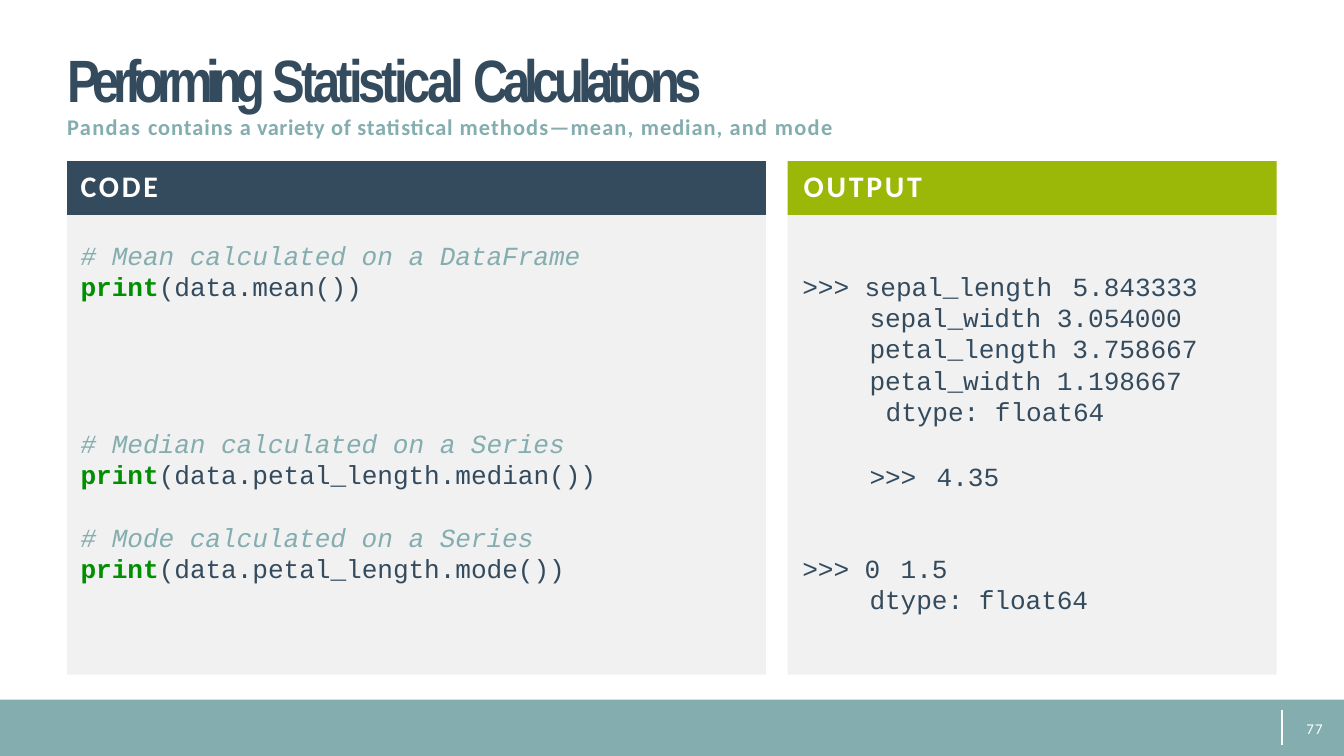
from dataclasses import dataclass
from pptx import Presentation
from pptx.dml.color import RGBColor as Rgb
from pptx.enum.shapes import MSO_SHAPE as Shape, MSO_CONNECTOR as Line
from pptx.util import Inches, Pt
from lxml.etree import SubElement
from pptx.oxml.ns import qn


@dataclass(frozen=True)
class Theme:
    navy: str = "344B5E"
    teal: str = "84ADAF"
    lime: str = "9BB808"
    green: str = "008F00"
    gray: str = "F1F1F1"
    white: str = "FFFFFF"
    sans: str = "Calibri"
    narrow: str = "Arial Narrow"
    mono: str = "Courier New"
    title: int = 32
    head: int = 16
    code: int = 14
    sub: int = 12
    page: int = 8


T = Theme()
WIDE = 10
TALL = WIDE * 9 / 16


def add_rect(slide, box, color):
    rect = slide.shapes.add_shape(Shape.RECTANGLE, *map(Inches, box))
    rect.shadow.inherit = False
    rect.fill.solid()
    rect.fill.fore_color.rgb = Rgb.from_string(color)
    rect.line.fill.background()


def add_text(slide, box, lines):
    frame = slide.shapes.add_textbox(*map(Inches, box)).text_frame
    frame.word_wrap = True
    frame.margin_left = frame.margin_right = frame.margin_bottom = 0
    frame.margin_top = Inches(0.01)
    frame.text = "\n".join([""] * len(lines))
    for para, runs in zip(frame.paragraphs, lines):
        for words, style in runs:
            add_run(para, words, **style)
    return frame.paragraphs


def add_run(para, words, font, size, color, bold=False, italic=False, gap=0):
    run = para.add_run()
    run.text = words
    run.font.name = font
    run.font.size = Pt(size)
    run.font.color.rgb = Rgb.from_string(color)
    run.font.bold = bold
    run.font.italic = italic
    run._r.get_or_add_rPr().set("spc", str(round(gap * 100)))


def indent(para, left):
    props = para._p.get_or_add_pPr()
    props.set("marL", str(Inches(left)))
    props.set("indent", "0")


def add_title(slide, box):
    big = dict(font=T.narrow, size=T.title, color=T.navy, bold=True)
    small = dict(font=T.sans, size=T.sub, color=T.teal, bold=True)
    heads = [("Performing ", -3.75), ("Statistical ", -2.15),
             ("Calculations", -3.1)]
    subs = [("Pandas ", 0.7), ("contains ", 0.5), ("a variety ", 0.3),
            ("of statistical ", 0.4), ("methods—mean, ", 0.6),
            ("median, ", 0.5), ("and mode", 0.7)]
    lines = [[(words, dict(style, gap=gap)) for words, gap in parts]
             for style, parts in ((big, heads), (small, subs))]
    for para, pitch in zip(add_text(slide, box, lines), (37.6, 13.7)):
        para.line_spacing = Pt(pitch)
        indent(para, 0.02)


def add_panel(slide, box, name, color, pad):
    left, top, width, height = box
    bar = 0.4
    add_rect(slide, (left, top, width, bar), color)
    add_rect(slide, (left, top + bar, width, height - bar), T.gray)
    style = dict(font=T.sans, size=T.head, color=T.white, bold=True, gap=1.5)
    add_text(slide, (left + pad, top + 0.04, width - pad, 0.29),
             [[(name, style)]])


def add_code(slide, box):
    left, top, width, height = box
    add_panel(slide, box, "CODE", T.navy, 0.1)
    plain = dict(font=T.mono, size=T.code, color=T.navy, gap=-0.05)
    note = dict(plain, color=T.teal, italic=True)
    key = dict(plain, color=T.green, bold=True)
    parts = [(0.57, "# Mean calculated on a DataFrame", "(data.mean())"),
             (1.97, "# Median calculated on a Series",
              "(data.petal_length.median())"),
             (2.67, "# Mode calculated on a Series",
              "(data.petal_length.mode())")]
    for down, words, call in parts:
        add_text(slide, (left + 0.1, top + down, width - 0.2, 0.5),
                 [[(words, note)], [("print", key), (call, plain)]])


def add_output(slide, box):
    left, top, width, height = box
    add_panel(slide, box, "OUTPUT", T.lime, 0.12)
    style = dict(font=T.mono, size=T.code, color=T.navy, gap=-0.05)
    loose = dict(style, gap=2.4)
    stats = [(">>> sepal_length", " ", "5.843333", 0),
             ("sepal_width 3.054000", "", "", 0.5),
             ("petal_length 3.758667", "", "", 0.5),
             ("petal_width 1.198667", "", "", 0.5),
             ("dtype: float64", "", "", 0.62),
             (">>>", " ", "4.35", 0.5)]
    modes = [(">>> 0", " ", "1.5", 0), ("dtype: float64", "", "", 0.5)]
    for down, tall, rows in ((0.8, 1.66, stats), (2.9, 0.5, modes)):
        lines = [[(words, look) for words, look in
                  zip(row[:3], (style, loose, style)) if words]
                 for row in rows]
        paras = add_text(slide, (left + 0.11, top + down, width - 0.2, tall),
                         lines)
        for para, row in zip(paras, rows):
            indent(para, row[3])
        if rows is stats:
            paras[-1].space_before = Pt(18)


def add_foot(slide, box):
    left, top, width, height = box
    add_rect(slide, box, T.teal)
    x = left + width - 0.46
    rule = slide.shapes.add_connector(
        Line.STRAIGHT, *map(Inches, (x, top + 0.08, x, top + 0.34)))
    rule.line.color.rgb = Rgb.from_string(T.white)
    rule.line.width = Pt(0.72)
    SubElement(rule._element.spPr, qn("a:effectLst"))
    style = dict(font=T.sans, size=T.page, color=T.white, gap=0.7)
    add_text(slide, (x + 0.18, top + 0.14, 0.25, 0.18), [[("77", style)]])


def main():
    deck = Presentation()
    deck.slide_width, deck.slide_height = Inches(WIDE), Inches(TALL)
    slide = deck.slides.add_slide(deck.slide_layouts[6])
    add_foot(slide, (0, TALL - 0.42, WIDE, 0.42))
    add_title(slide, (0.48, 0.32, 6.5, 0.74))
    add_code(slide, (0.5, 1.2, 5.2, 3.82))
    add_output(slide, (5.86, 1.2, 3.64, 3.82))
    deck.save("out.pptx")


if __name__ == "__main__":
    main()
